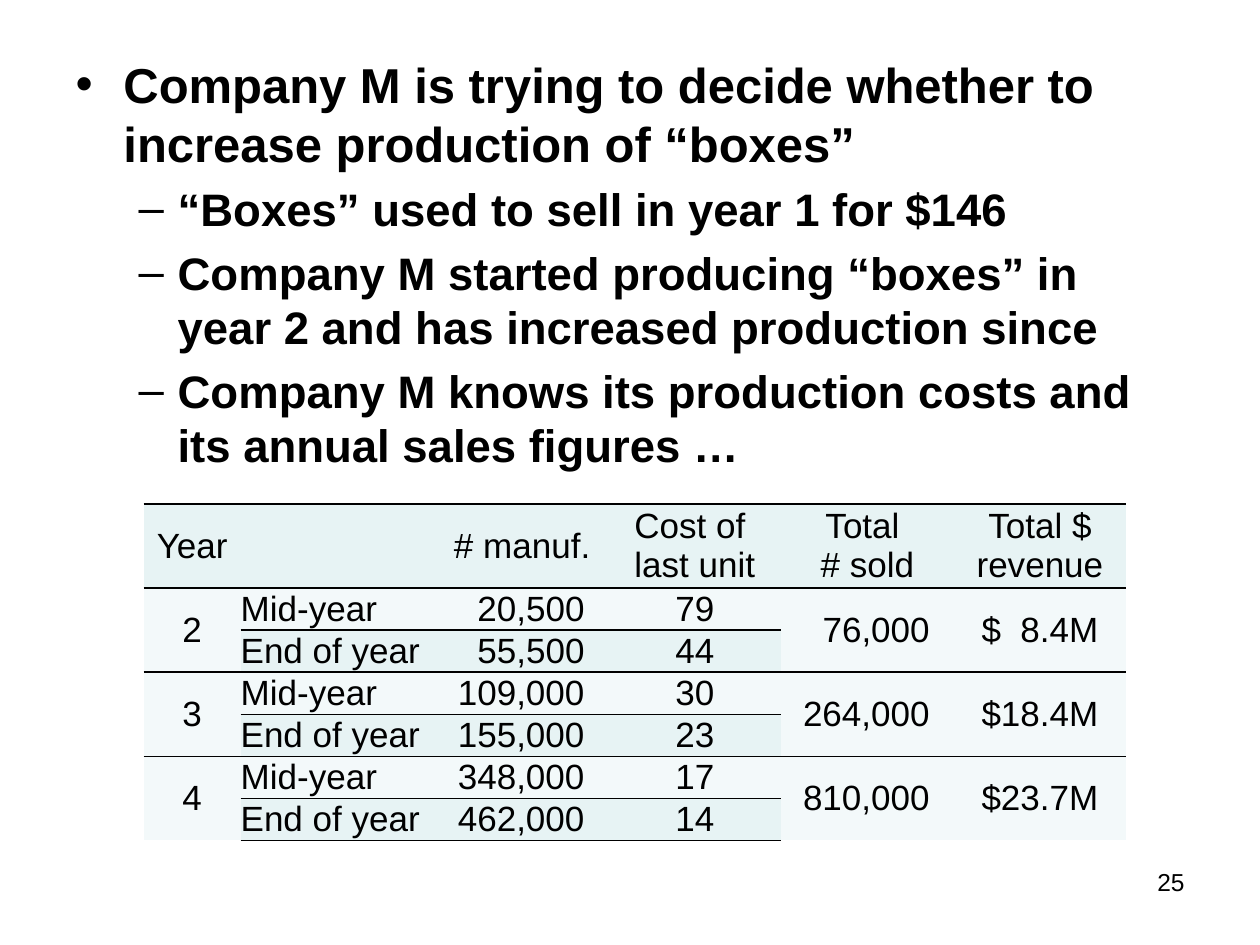
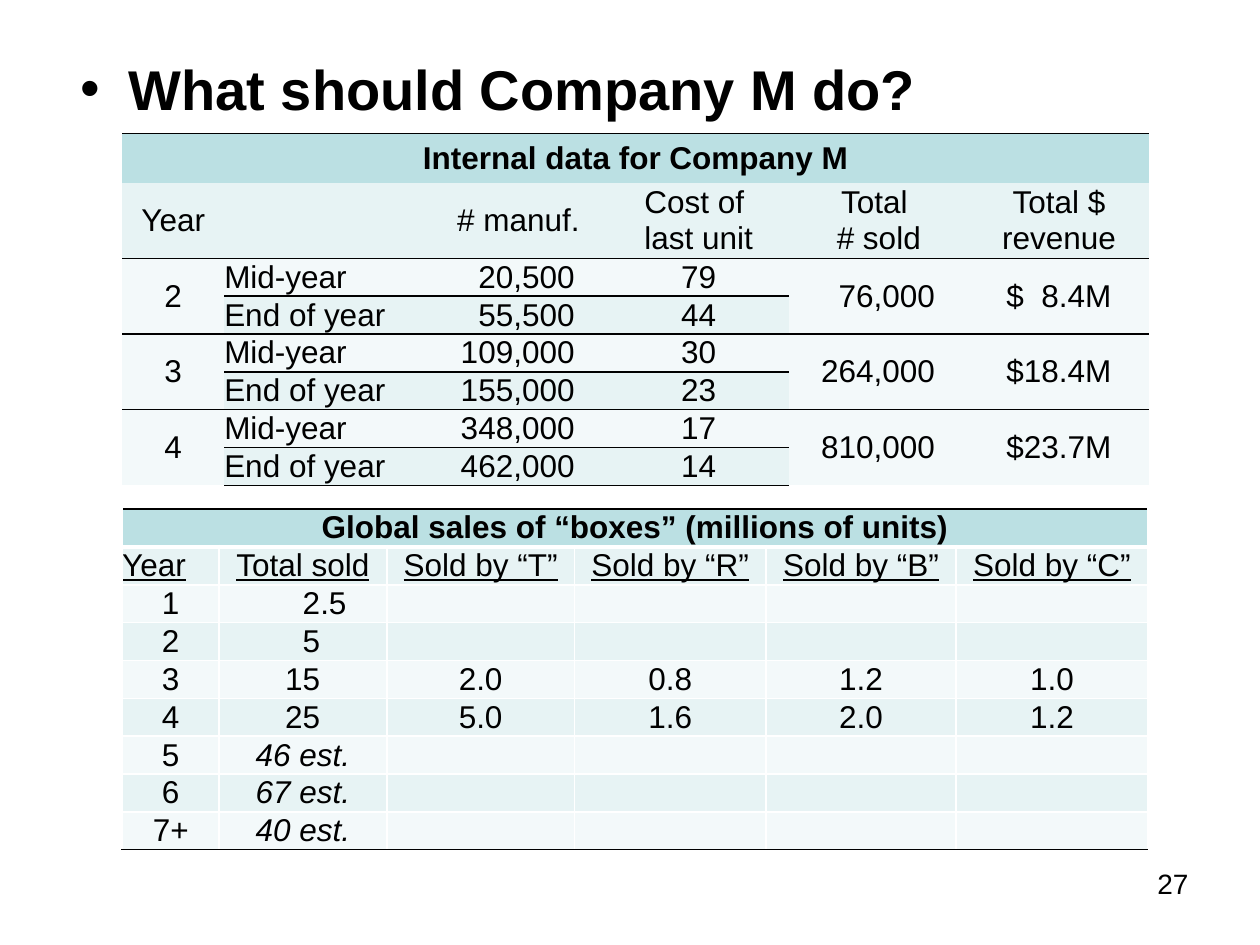
from lxml import etree
from pptx import Presentation
from pptx.dml.color import RGBColor
from pptx.enum.text import MSO_ANCHOR, MSO_AUTO_SIZE, PP_ALIGN
from pptx.oxml.ns import qn
from pptx.util import Inches, Pt

COLORS = {"text": "000000", "grid": "FFFFFF", "title": "BBE0E3",
          "dark": "E7F3F4", "light": "F3F9FA"}
FONT = "Arial"
PLAIN_TABLE = "{2D5ABB26-0587-4C30-8999-92F81FD0307C}"
CENTER, LEFT, RIGHT = PP_ALIGN.CENTER, PP_ALIGN.LEFT, PP_ALIGN.RIGHT
BLACK_LINE = ("text", 1)
WHITE_LINE = ("grid", 1)

# Bullet sign, left margin and hanging indent of each list level
LEVELS = [("•", 0.38, -0.38), ("–", 0.81, -0.31)]

INTERNAL_HEADER = ["Year", "", "# manuf.", "Cost of \nlast unit",
                   "Total \n# sold", "Total $ revenue"]
INTERNAL_YEARS = [
    ("2", [("20,500", "79"), ("55,500", "44")], "76,000", "$  8.4M"),
    ("3", [("109,000", "30"), ("155,000", "23")], "264,000", "$18.4M"),
    ("4", [("348,000", "17"), ("462,000", "14")], "810,000", "$23.7M"),
]
GLOBAL_ROWS = [
    ["Year", "Total sold", "Sold by “T”", "Sold by “R”", "Sold by “B”", "Sold by “C”"],
    ["1", "2.5"],
    ["2", "5"],
    ["3", "15", "2.0", "0.8", "1.2", "1.0"],
    ["4", "25", "5.0", "1.6", "2.0", "1.2"],
    ["5", "46 est."],
    ["6", "67 est."],
    ["7+", "40 est."],
]

PAGES = [
    {"number": "25", "number_size": 14, "number_left": 7.17, "body_left": 0.5,
     "bullets": [
         (0, 28, "Company M is trying to decide whether to increase production of “boxes”"),
         (1, 26, "“Boxes” used to sell in year 1 for $146"),
         (1, 26, "Company M started producing “boxes” in year 2 and has increased "
                 "production since"),
         (1, 26, "Company M knows its production costs and its annual sales figures …")],
     "table_at": (1.14, 4), "widths": [0.77, 1.55] + [1.37] * 4,
     "heights": [0.62] + [0.325] * 6, "size": 20, "inset": 0.19, "title": None},
    {"number": "27", "number_size": 16, "number_left": 7.2, "body_left": 0.54,
     "bullets": [(0, 32, "What should Company M do?")],
     "table_at": (0.97, 1.06), "widths": [0.81, 1.62] + [1.43] * 4,
     "heights": [0.39, 0.56] + [0.28] * 6, "size": 18, "inset": 0.27,
     "title": "Internal data for Company M"},
]


def add_plain_table(page, at, widths, heights):
    """Add a table without a style, with given column widths and row heights."""
    frame = page.shapes.add_table(len(heights), len(widths), Inches(at[0]), Inches(at[1]),
                                  Inches(sum(widths)), Inches(sum(heights)))
    table = frame.table
    table.first_row = table.horz_banding = False
    table._tbl.tblPr.find(qn("a:tableStyleId")).text = PLAIN_TABLE
    for column, width in zip(table.columns, widths):
        column.width = Inches(width)
    for row, height in zip(table.rows, heights):
        row.height = Inches(height)
    return table


def format_cell(cell, text, size, fill, align=CENTER, inset=0, bold=False,
                italic=False, underline=False, **edges):
    """Fill in a cell; edges maps L, R, T and B to (colour name, points)."""
    cell.margin_left = cell.margin_top = cell.margin_bottom = 0
    cell.margin_right = Inches(inset)
    cell.vertical_anchor = MSO_ANCHOR.MIDDLE
    cell.fill.solid()
    cell.fill.fore_color.rgb = RGBColor.from_string(COLORS[fill])
    cell.text = text
    for para in cell.text_frame.paragraphs:
        para.alignment = align
        font = para.font
        font.name, font.size = FONT, Pt(size)
        font.bold, font.italic, font.underline = bold, italic, underline
        font.color.rgb = RGBColor.from_string(COLORS["text"])
    properties = cell._tc.get_or_add_tcPr()
    sides = [side for side in "LRTB" if side in edges]
    for position, side in enumerate(sides):
        color, points = edges[side]
        line = etree.Element(qn(f"a:ln{side}"), w=str(Pt(points)))
        solid = etree.SubElement(line, qn("a:solidFill"))
        etree.SubElement(solid, qn("a:srgbClr"), val=COLORS[color])
        properties.insert(position, line)


deck = Presentation()
deck.slide_width, deck.slide_height = Inches(10), Inches(7.5)

for content in PAGES:
    page = deck.slides.add_slide(deck.slide_layouts[1])
    title = page.shapes.title._element
    title.getparent().remove(title)

    body = page.placeholders[1]
    body.left, body.top = Inches(content["body_left"]), Inches(0.38)
    body.width, body.height = Inches(9), Inches(6.37)
    frame = body.text_frame
    frame.auto_size = MSO_AUTO_SIZE.NONE
    frame.text = "\n".join(text for _, _, text in content["bullets"])
    for para, (level, size, _) in zip(frame.paragraphs, content["bullets"]):
        sign, margin, indent = LEVELS[level]
        para.level = level
        para.font.name, para.font.size, para.font.bold = FONT, Pt(size), True
        para.font.color.rgb = RGBColor.from_string(COLORS["text"])
        properties = para._p.get_or_add_pPr()
        properties.set("marL", str(Inches(margin)))
        properties.set("indent", str(Inches(indent)))
        bullet = etree.Element(qn("a:buChar"), char=sign)
        properties.find(qn("a:defRPr")).addprevious(bullet)

    box = page.shapes.add_textbox(Inches(content["number_left"]), Inches(6.83),
                                  Inches(2.33), Inches(0.52))
    box.text_frame.word_wrap = True
    para = box.text_frame.paragraphs[0]
    para.text = content["number"]
    para.alignment = RIGHT
    para.font.name, para.font.size = FONT, Pt(content["number_size"])
    para.font.color.rgb = RGBColor.from_string(COLORS["text"])

    size, inset = content["size"], content["inset"]
    internal = add_plain_table(page, content["table_at"], content["widths"],
                               content["heights"])
    header_row = 0
    header_edges = {"T": BLACK_LINE, "B": BLACK_LINE}
    if content["title"]:
        header_row = 1
        del header_edges["T"]
        for column in range(6):
            format_cell(internal.cell(0, column), "" if column else content["title"],
                        size, "title", bold=True, T=BLACK_LINE)
        internal.cell(0, 0).merge(internal.cell(0, 5))
    for column, text in enumerate(INTERNAL_HEADER):
        format_cell(internal.cell(header_row, column), text, size, "dark", **header_edges)

    for index, (year, halves, sold, revenue) in enumerate(INTERNAL_YEARS):
        top = header_row + 1 + 2 * index
        for half, (made, cost) in enumerate(halves):
            period = ["Mid-year", "End of year"][half]
            texts = [year, period, made, cost, sold, revenue]
            aligns = [CENTER, LEFT, RIGHT, CENTER, RIGHT, CENTER]
            edges = {"B": BLACK_LINE} if half else {"T": BLACK_LINE}
            for column, (text, align) in enumerate(zip(texts, aligns)):
                spanned = column in (0, 4, 5)
                format_cell(internal.cell(top + half, column),
                            "" if spanned and half else text, size,
                            "dark" if half and not spanned else "light", align,
                            inset if align == RIGHT else 0, **edges)
        for column in (0, 4, 5):
            internal.cell(top, column).merge(internal.cell(top + 1, column))

# Global sales, below the internal data on the last page
sales = add_plain_table(page, (0.97, 4.04), [0.77, 1.33, 1.49, 1.52, 1.51, 1.52], [0.28] * 9)
for column in range(6):
    format_cell(sales.cell(0, column),
                "" if column else "Global sales of “boxes” (millions of units)",
                18, "title", bold=True, L=WHITE_LINE, R=WHITE_LINE,
                T=BLACK_LINE, B=("grid", 3))
sales.cell(0, 0).merge(sales.cell(0, 5))
for row, texts in enumerate(GLOBAL_ROWS, start=1):
    for column in range(6):
        text = texts[column] if column < len(texts) else ""
        is_header = row == 1
        estimate = text.endswith("est.")
        align, inset = CENTER, 0
        if is_header and column == 0:
            align = LEFT
        elif column == 1 and not is_header and not estimate:
            # Whole numbers end where the decimal point stands
            align, inset = RIGHT, 0.32 if "." in text else 0.53
        format_cell(sales.cell(row, column), text, 18, "dark" if row % 2 else "light",
                    align, inset, italic=estimate, underline=is_header,
                    L=WHITE_LINE, R=WHITE_LINE,
                    T=("grid", 3) if is_header else WHITE_LINE,
                    B=BLACK_LINE if row == len(GLOBAL_ROWS) else WHITE_LINE)

deck.save("out.pptx")
